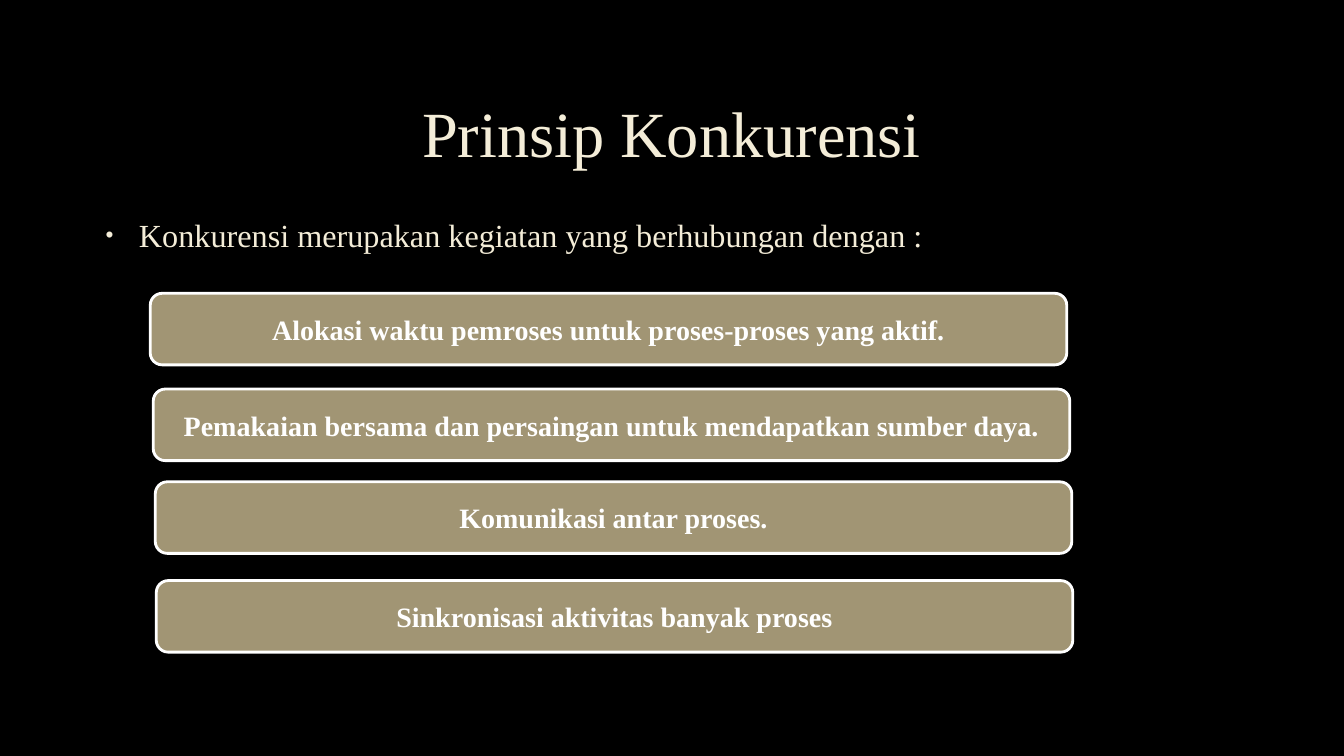
"""Build the slide on the principles of concurrency."""
from dataclasses import dataclass

from lxml import etree
from pptx import Presentation
from pptx import util as u
from pptx.dml import color
from pptx.enum import shapes, text
from pptx.oxml import ns


@dataclass(frozen=True)
class Theme:
    """Colours, font and type sizes of the slide."""
    background: str = "000000"
    cream: str = "F4EDD8"
    khaki: str = "A19574"
    white: str = "FFFFFF"
    font: str = "Times New Roman"
    title_size: int = 46
    lead_size: int = 23
    activity_size: int = 20
    border: float = 2


def rgb(value):
    """Return a colour from its hex value."""
    return color.RGBColor.from_string(value)


def apply(target, formats):
    """Set each format value on the target."""
    for name, value in formats.items():
        setattr(target, name, value)


class Slide:
    """Draws themed elements on one slide."""

    def __init__(self, deck, theme):
        """Add a blank slide with the theme background."""
        self.theme = theme
        self.slide = deck.slides.add_slide(deck.slide_layouts[6])
        fill = self.slide.background.fill
        fill.solid()
        fill.fore_color.rgb = rgb(theme.background)

    def set_text(self, frame, wording, size, ink, bold=False, anchor=text.MSO_ANCHOR.MIDDLE, **paragraph_formats):
        """Fill a text frame with one formatted paragraph."""
        apply(frame, {"word_wrap": True, "vertical_anchor": anchor})
        paragraph = frame.paragraphs[0]
        apply(paragraph, paragraph_formats)
        run = paragraph.add_run()
        run.text = wording
        apply(run.font, {"name": self.theme.font, "size": u.Pt(size), "bold": bold})
        run.font.color.rgb = rgb(ink)
        return paragraph

    def textbox(self, box):
        """Add a text box and return its frame."""
        return self.slide.shapes.add_textbox(*map(u.Inches, box)).text_frame

    def title(self, wording, box):
        """Add the centred title."""
        self.set_text(self.textbox(box), wording, self.theme.title_size, self.theme.cream,
                      alignment=text.PP_ALIGN.CENTER, line_spacing=0.9)

    def lead(self, wording, box):
        """Add the bulleted opening line."""
        paragraph = self.set_text(self.textbox(box), wording, self.theme.lead_size, self.theme.cream,
                                  anchor=text.MSO_ANCHOR.TOP, line_spacing=1.1,
                                  space_before=u.Pt(4.6), space_after=u.Pt(6))
        properties = paragraph._p.get_or_add_pPr()
        properties.set("marL", str(u.Inches(0.38)))
        properties.set("indent", str(u.Inches(-0.33)))
        tint = etree.SubElement(properties, ns.qn("a:buClr"))
        etree.SubElement(tint, ns.qn("a:srgbClr"), val=self.theme.cream)
        etree.SubElement(properties, ns.qn("a:buSzPct"), val="70000")
        etree.SubElement(properties, ns.qn("a:buFont"), typeface="Arial")
        etree.SubElement(properties, ns.qn("a:buChar"), char="•")

    def activity(self, wording, box):
        """Add a rounded bar naming one activity."""
        bar = self.slide.shapes.add_shape(shapes.MSO_SHAPE.ROUNDED_RECTANGLE, *map(u.Inches, box))
        bar.shadow.inherit = False
        bar.fill.solid()
        bar.fill.fore_color.rgb = rgb(self.theme.khaki)
        bar.line.color.rgb = rgb(self.theme.white)
        bar.line.width = u.Pt(self.theme.border)
        self.set_text(bar.text_frame, wording, self.theme.activity_size, self.theme.white,
                      bold=True, alignment=text.PP_ALIGN.CENTER)


ACTIVITIES = [
    ("Alokasi waktu pemroses untuk proses-proses yang aktif.", 1.49, 2.91),
    ("Pemakaian bersama dan persaingan untuk mendapatkan sumber daya.", 1.52, 3.86),
    ("Komunikasi antar proses.", 1.54, 4.78),
    ("Sinkronisasi aktivitas banyak proses", 1.55, 5.76),
]


def main():
    """Build and save the deck."""
    deck = Presentation()
    apply(deck, {"slide_width": u.Inches(13.33), "slide_height": u.Inches(7.5)})
    concurrency = Slide(deck, Theme())
    concurrency.title("Prinsip Konkurensi", (1, 0.67, 11.32, 1.38))
    concurrency.lead("Konkurensi merupakan kegiatan yang berhubungan dengan :", (0.9, 2.05, 10.88, 4.31))
    for wording, left, top in ACTIVITIES:
        concurrency.activity(wording, (left, top, 9.09, 0.71))
    deck.save("out.pptx")


if __name__ == "__main__":
    main()
